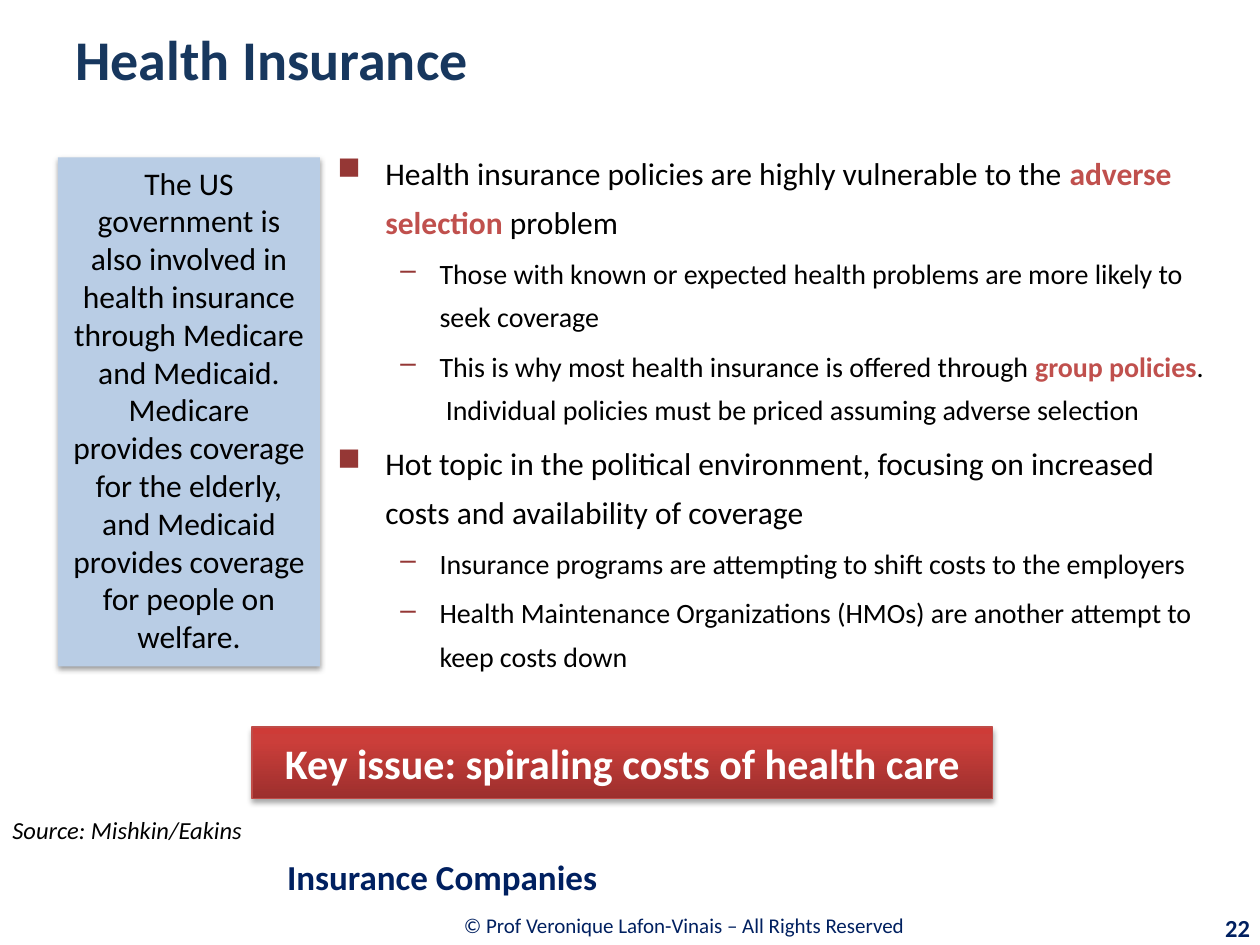
import pptx
import pptx.util
import pptx.oxml
import pptx.oxml.ns
from pptx.dml.color import RGBColor
from pptx.enum.shapes import MSO_SHAPE
from pptx.enum.text import MSO_ANCHOR, PP_ALIGN
from pptx.util import Inches

BLACK = RGBColor(0x00, 0x00, 0x00)
WHITE = RGBColor(0xFF, 0xFF, 0xFF)
TITLE_BLUE = RGBColor(0x17, 0x37, 0x5E)
FOOTER_BLUE = RGBColor(0x00, 0x20, 0x60)
PALE_BLUE = RGBColor(0xB9, 0xCD, 0xE5)
ACCENT_RED = RGBColor(0xC0, 0x50, 0x4D)
BULLET_RED = RGBColor(0x95, 0x37, 0x35)
BORDER_RED = RGBColor(0xBF, 0x4C, 0x48)
BANNER_STOPS = [
    (0, RGBColor(0x9C, 0x2F, 0x2D)),
    (80, RGBColor(0xCB, 0x3E, 0x3A)),
    (100, RGBColor(0xCE, 0x3B, 0x37)),
]

# Bullet sign, text size, left margin and hanging indent of each level
LEVELS = [("■", 18, 0.38, 0.38), ("–", 16, 0.81, 0.31)]

OUTLINE = [
    (0, [("Health insurance policies are highly vulnerable to the ", False),
         ("adverse selection ", True), ("problem", False)]),
    (1, [("Those with known or expected health problems are more likely to "
          "seek coverage", False)]),
    (1, [("This is why most health insurance is offered through ", False),
         ("group policies", True),
         (".  Individual policies must be priced assuming adverse selection", False)]),
    (0, [("Hot topic in the political environment, focusing on increased costs "
          "and availability of coverage", False)]),
    (1, [("Insurance programs are attempting to shift costs to the employers", False)]),
    (1, [("Health Maintenance Organizations (HMOs) are another attempt to "
          "keep costs down", False)]),
]

SIDE_NOTE = (
    "The US government is also involved in health insurance through Medicare "
    "and Medicaid. Medicare provides coverage for the elderly, and Medicaid "
    "provides coverage for people on welfare."
)


def xml(text):
    """Build one DrawingML element from its markup."""
    return pptx.oxml.parse_xml(text.replace(
        ">", f" {pptx.oxml.ns.nsdecls('a')}>", 1))


class SlideBuilder:
    font_name = "Calibri"

    def __init__(self, page):
        self.page = page

    def style(self, font, size, color, **extra):
        values = {"name": self.font_name, "size": pptx.util.Pt(size), **extra}
        for name, value in values.items():
            setattr(font, name, value)
        font.color.rgb = color

    def fill_text(self, shape, text, size, color, align=PP_ALIGN.LEFT,
                  anchor=MSO_ANCHOR.MIDDLE, **extra):
        frame = shape.text_frame
        frame.word_wrap = True
        frame.vertical_anchor = anchor
        para = frame.paragraphs[0]
        para.alignment = align
        span = para.add_run()
        span.text = text
        self.style(span.font, size, color, **extra)

    def label(self, place, *args, **extra):
        box = self.page.shapes.add_textbox(*map(Inches, place))
        self.fill_text(box, *args, **extra)

    def outline(self, place, items):
        frame = self.page.shapes.add_textbox(*map(Inches, place)).text_frame
        frame.word_wrap = True
        for index, (level, spans) in enumerate(items):
            para = frame.add_paragraph() if index else frame.paragraphs[0]
            sign, size, margin, hanging = LEVELS[level]
            properties = para._p.get_or_add_pPr()
            properties.set("marL", str(Inches(margin)))
            properties.set("indent", str(-Inches(hanging)))
            properties.append(xml(
                f'<a:buClr><a:srgbClr val="{BULLET_RED}"/></a:buClr>'))
            properties.append(xml(f'<a:buChar char="{sign}"></a:buChar>'))
            para.level = level
            para.line_spacing = 1.3
            if index:
                para.space_before = pptx.util.Pt(size * 0.2)
            for text, strong in spans:
                span = para.add_run()
                span.text = text
                self.style(span.font, size, ACCENT_RED if strong else BLACK,
                           bold=strong)

    def panel(self, place, shadow_distance, shadow_alpha):
        shape = self.page.shapes.add_shape(
            MSO_SHAPE.RECTANGLE, *map(Inches, place))
        shape.line.fill.background()
        shape.shadow.inherit = False
        effects = shape._element.spPr.find(pptx.oxml.ns.qn("a:effectLst"))
        effects.append(xml(
            f'<a:outerShdw blurRad="{pptx.util.Pt(3.1)}" '
            f'dist="{pptx.util.Pt(shadow_distance)}" dir="5400000" '
            f'rotWithShape="0"><a:srgbClr val="{BLACK}">'
            f'<a:alpha val="{shadow_alpha * 1000}"/></a:srgbClr></a:outerShdw>'))
        return shape

    def gradient(self, shape, stops):
        shape.fill.gradient()
        shape.fill.gradient_angle = 90
        stop_list = shape._element.spPr.find(
            f".//{pptx.oxml.ns.qn('a:gsLst')}")
        for stop in list(stop_list):
            stop_list.remove(stop)
        for position, color in stops:
            stop_list.append(xml(
                f'<a:gs pos="{position * 1000}">'
                f'<a:srgbClr val="{color}"/></a:gs>'))


def main():
    deck = pptx.Presentation()
    deck.slide_width, deck.slide_height = Inches(10), Inches(7.5)
    builder = SlideBuilder(deck.slides.add_slide(deck.slide_layouts[6]))

    # Title and main points
    builder.label((0.5, 0.17, 9, 0.58), "Health Insurance", 32, TITLE_BLUE,
                  bold=True)
    builder.outline((2.58, 1.08, 7.08, 5.33), OUTLINE)

    # Side note
    note = builder.panel((0.46, 1.25, 2.08, 4.04), 1.6, 38)
    note.fill.solid()
    note.fill.fore_color.rgb = PALE_BLUE
    builder.fill_text(note, SIDE_NOTE, 18, BLACK, PP_ALIGN.CENTER,
                      MSO_ANCHOR.TOP)

    # Key issue banner
    banner = builder.panel((2, 5.77, 5.88, 0.57), 1.8, 35)
    builder.gradient(banner, BANNER_STOPS)
    banner.line.color.rgb = BORDER_RED
    banner.line.width = pptx.util.Pt(0.75)
    builder.fill_text(banner, "Key issue: spiraling costs of health care", 24,
                      WHITE, PP_ALIGN.CENTER, bold=True)

    # Source and footer
    builder.label((0, 6.42, 3, 0.34), "Source: Mishkin/Eakins", 14, BLACK,
                  anchor=MSO_ANCHOR.TOP, italic=True)
    builder.label((2.18, 6.72, 7.82, 0.47), "Insurance Companies", 20,
                  FOOTER_BLUE, bold=True)
    builder.label((2.19, 7.15, 6.48, 0.39),
                  "© Prof Veronique Lafon-Vinais – All Rights Reserved", 12,
                  FOOTER_BLUE, PP_ALIGN.CENTER)
    builder.label((9.01, 7.2, 1.01, 0.32), "22", 14, FOOTER_BLUE,
                  PP_ALIGN.RIGHT, bold=True)

    deck.save("out.pptx")


if __name__ == "__main__":
    main()
